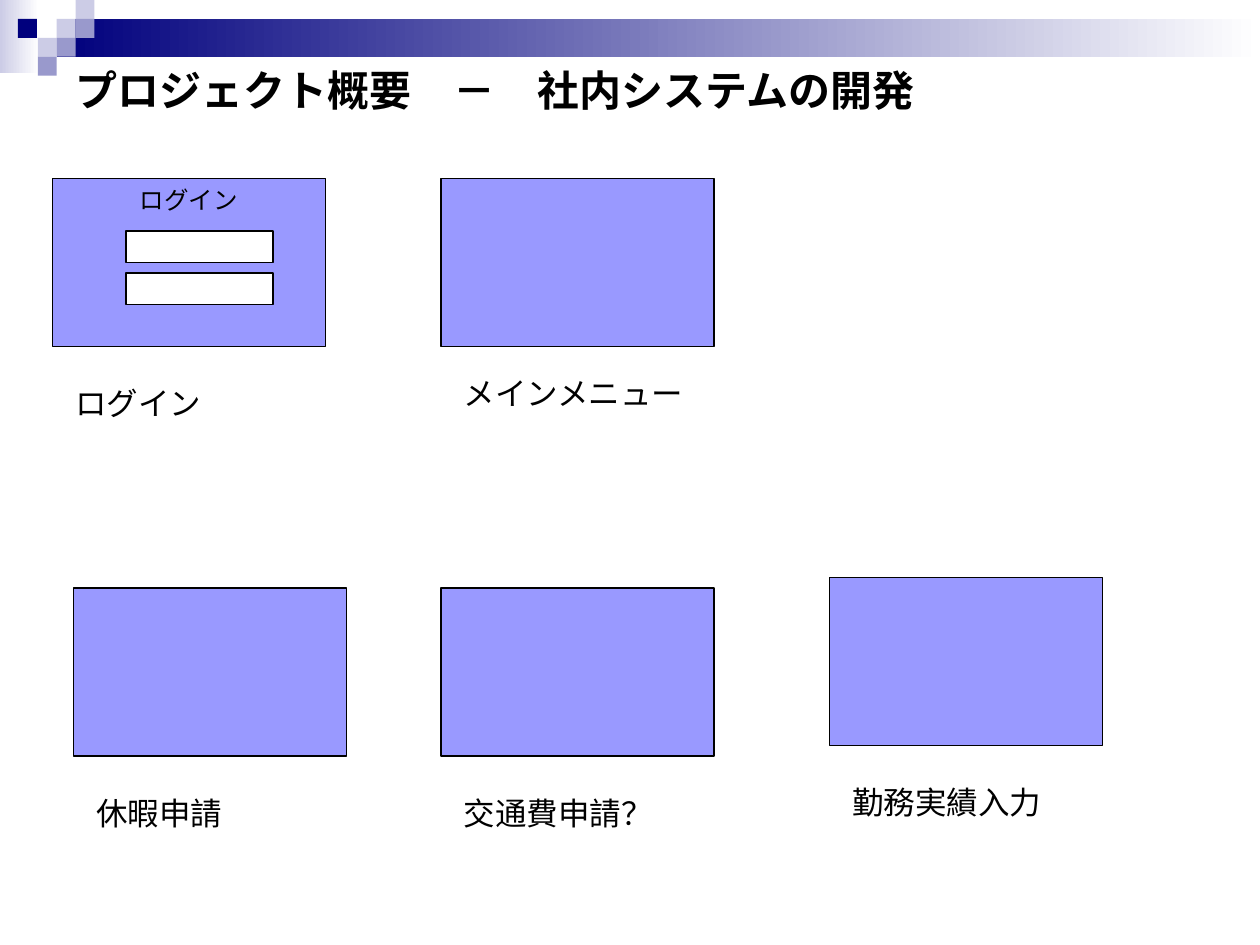
from typing import NamedTuple

from pptx import Presentation
from pptx.dml.color import RGBColor
from pptx.enum import shapes, text
from pptx.util import Pt

COLORS = {
    "black": "000000",
    "white": "FFFFFF",
    "screen": "9999FF",
    "navy": "00007D",
    "mid": "9999CC",
    "pale": "CCCCE6",
}
FONT = "Arial"
TILE = 10.8
SCREEN_W, SCREEN_H = 156, 96
CAPTION_INDENT = 6


class Box(NamedTuple):
    left: float
    top: float
    width: float
    height: float


class Tile(NamedTuple):
    col: float
    row: int
    color: str


class Screen(NamedTuple):
    caption: str
    left: float
    top: float
    caption_drop: float = 114


BANDS = [
    (Box(0, 0, 22.3, 41.8), "pale"),
    (Box(32.4, 10.8, 687.6, 21.6), "navy"),
]
TILES = [
    Tile(3, 1, "pale"),
    Tile(4, 0, "pale"),
    Tile(4, 1, "mid"),
    Tile(2, 2, "pale"),
    Tile(0.95, 1, "navy"),
    Tile(3, 2, "mid"),
    Tile(2, 3, "mid"),
]
LOGIN = Screen("ログイン", 30, 102)
SCREENS = [
    LOGIN,
    Screen("メインメニュー", 252, 102, 108),
    Screen("休暇申請", 42, 336),
    Screen("交通費申請？", 252, 336),
    Screen("勤務実績入力", 474, 330),
]
LOGIN_FIELDS = [Box(72, top, 84, 18) for top in (132, 156)]


def rgb(name: str) -> RGBColor:
    return RGBColor.from_string(COLORS[name])


def add_rect(slide, box: Box, color: str, outlined: bool = False):
    rect = slide.shapes.add_shape(
        shapes.MSO_SHAPE.RECTANGLE, *(Pt(length) for length in box))
    rect.shadow.inherit = False
    rect.fill.solid()
    rect.fill.fore_color.rgb = rgb(color)
    if outlined:
        rect.line.color.rgb = rgb("black")
        rect.line.width = Pt(0.75)
    else:
        rect.line.fill.background()
    return rect


def add_fading_band(slide, box: Box, color: str) -> None:
    """Draw a band that fades to white towards its right end."""
    fill = add_rect(slide, box, color).fill
    fill.gradient()
    fill.gradient_angle = 180
    for stop, name in zip(fill.gradient_stops, ("white", color)):
        stop.color.rgb = rgb(name)


def write(paragraph, wording: str, size: float, bold: bool = False) -> None:
    run = paragraph.add_run()
    run.text = wording
    run.font.name = FONT
    run.font.size = Pt(size)
    run.font.bold = bold
    run.font.color.rgb = rgb("black")


def add_screen(slide, screen: Screen) -> None:
    """Draw a screen mock-up and the caption below it."""
    frame = add_rect(slide, Box(screen.left, screen.top, SCREEN_W, SCREEN_H),
                     "screen", outlined=True)
    if screen is LOGIN:
        heading = frame.text_frame
        heading.word_wrap = False
        heading.vertical_anchor = text.MSO_ANCHOR.TOP
        heading.paragraphs[0].alignment = text.PP_ALIGN.CENTER
        write(heading.paragraphs[0], screen.caption, 14)
        for field in LOGIN_FIELDS:
            add_rect(slide, field, "white", outlined=True)

    caption = slide.shapes.add_textbox(
        Pt(screen.left + CAPTION_INDENT), Pt(screen.top + screen.caption_drop),
        Pt(144), Pt(28.8)).text_frame
    caption.word_wrap = True
    caption.auto_size = text.MSO_AUTO_SIZE.SHAPE_TO_FIT_TEXT
    caption.paragraphs[0].space_before = Pt(11.2)
    write(caption.paragraphs[0], screen.caption, 18)


def add_title(slide, wording: str) -> None:
    title = slide.shapes.title
    title.left, title.top, title.width, title.height = Pt(36), Pt(36), Pt(648), Pt(30)
    frame = title.text_frame
    frame.word_wrap = True
    frame.auto_size = text.MSO_AUTO_SIZE.NONE
    frame.vertical_anchor = text.MSO_ANCHOR.MIDDLE
    frame.paragraphs[0].alignment = text.PP_ALIGN.LEFT
    write(frame.paragraphs[0], wording, 24, bold=True)


def main() -> None:
    deck = Presentation()
    deck.slide_width, deck.slide_height = Pt(720), Pt(540)
    slide = deck.slides.add_slide(deck.slide_layouts[5])

    for box, color in BANDS:
        add_fading_band(slide, box, color)
    for tile in TILES:
        add_rect(slide, Box(tile.col * TILE, tile.row * TILE, TILE, TILE), tile.color)
    add_title(slide, "プロジェクト概要　－　社内システムの開発")
    for screen in SCREENS:
        add_screen(slide, screen)

    deck.save("out.pptx")


if __name__ == "__main__":
    main()
